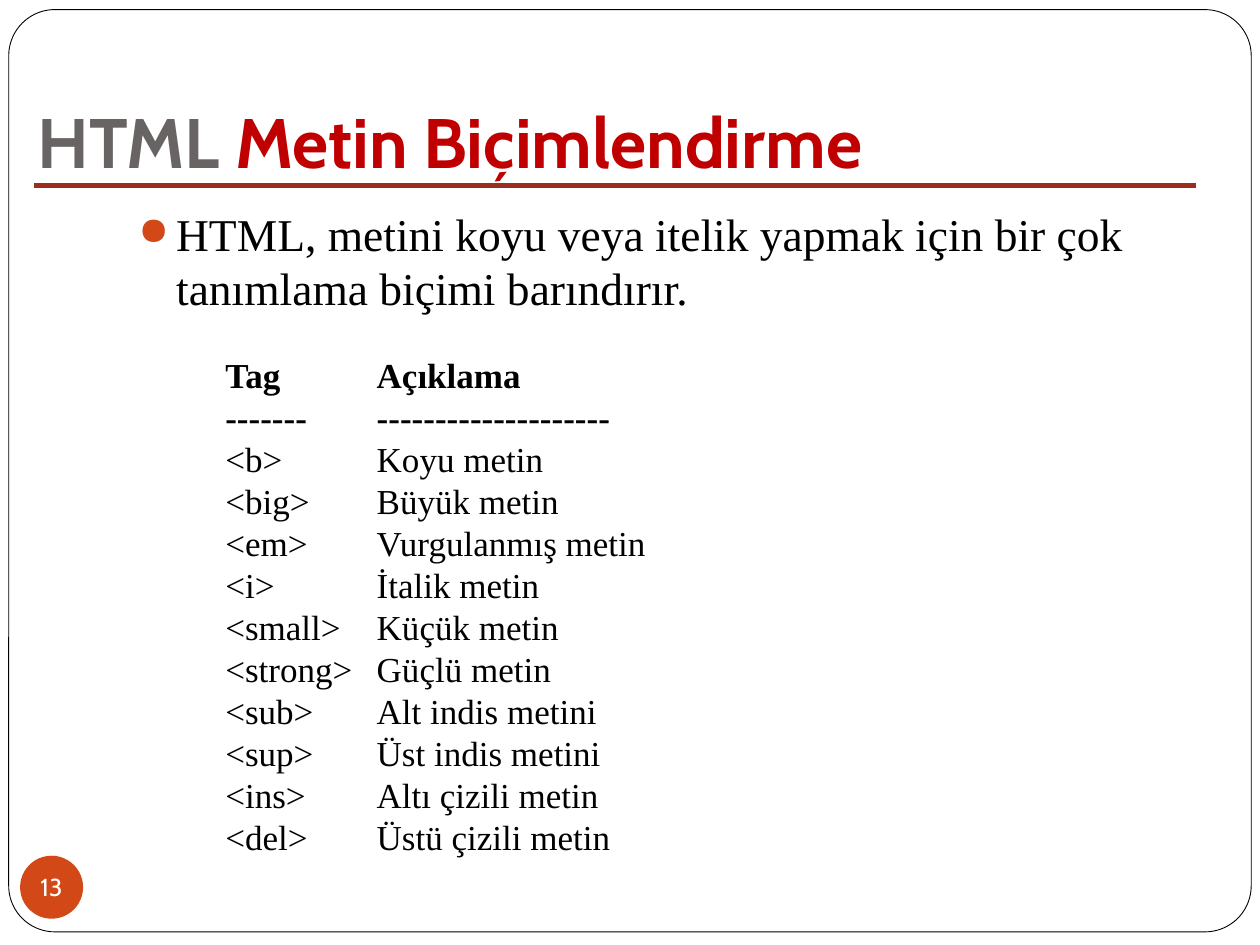
from dataclasses import dataclass

from lxml import etree
from pptx import Presentation
from pptx.dml.color import RGBColor
from pptx.enum.shapes import MSO_CONNECTOR, MSO_SHAPE
from pptx.enum.text import MSO_ANCHOR, PP_ALIGN
from pptx.oxml.ns import qn
from pptx.util import Pt

ROUND, OVAL = MSO_SHAPE.ROUNDED_RECTANGLE, MSO_SHAPE.OVAL
LINE = MSO_CONNECTOR.STRAIGHT
TOP, MIDDLE, BOTTOM = MSO_ANCHOR.TOP, MSO_ANCHOR.MIDDLE, MSO_ANCHOR.BOTTOM
CENTER = PP_ALIGN.CENTER


@dataclass(frozen=True)
class Theme:
    head: str = "Cabin"
    body: str = "Times New Roman"
    white: str = "FFFFFF"
    black: str = "000000"
    gray: str = "696464"
    red: str = "C00000"
    rule: str = "9B2D1F"
    accent: str = "D34817"
    title: int = 40
    lead: int = 26
    list: int = 20
    page: int = 14


THEME = Theme()
TAGS = [
    ("Tag", "Açıklama"),
    ("-------", "--------------------"),
    ("<b>", "Koyu metin"),
    ("<big>", "Büyük metin"),
    ("<em>", "Vurgulanmış metin"),
    ("<i>", "İtalik metin"),
    ("<small>", "Küçük metin"),
    ("<strong>", "Güçlü metin"),
    ("<sub>", "Alt indis metini"),
    ("<sup>", "Üst indis metini"),
    ("<ins>", "Altı çizili metin"),
    ("<del>", "Üstü çizili metin"),
]
HEADS = 2


def rgb(code):
    return RGBColor.from_string(code)


def add_run(para, text, size, font, color, bold=False):
    run = para.add_run()
    run.text = text
    run.font.size, run.font.name, run.font.bold = Pt(size), font, bold
    run.font.color.rgb = rgb(color)


def add_node(parent, tag, **attrs):
    return etree.SubElement(parent, qn(tag), attrs)


def add_text(slide, box, anchor=TOP, foot=3.6):
    frame = slide.shapes.add_textbox(*map(Pt, box)).text_frame
    frame.word_wrap = True
    frame.vertical_anchor = anchor
    frame.margin_bottom = Pt(foot)
    return frame


def add_shape(slide, kind, box, fill):
    shape = slide.shapes.add_shape(kind, *map(Pt, box))
    shape.shadow.inherit = False
    shape.fill.solid()
    shape.fill.fore_color.rgb = rgb(fill)
    return shape


def add_frame(slide, box):
    shape = add_shape(slide, ROUND, box, THEME.white)
    shape.adjustments[0] = 0.05
    shape.line.color.rgb = rgb(THEME.black)
    shape.line.width = Pt(0.5)


def add_title(slide, box):
    """Place the two-colour heading with the rule beneath it."""
    left, top, width, height = box
    para = add_text(slide, box, BOTTOM, foot=7.2).paragraphs[0]
    for text, color in (("HTML ", THEME.gray),
                        ("Metin Biçimlendirme", THEME.red)):
        add_run(para, text, THEME.title, THEME.head, color, True)
    x, y = left + 5, top + height - 5.75
    rule = slide.shapes.add_connector(
        LINE, Pt(x), Pt(y), Pt(x + 664), Pt(y))
    rule.line.color.rgb = rgb(THEME.rule)
    rule.line.width = Pt(3)
    add_node(rule._element.spPr, "a:effectLst")


def add_lead(slide, box):
    para = add_text(slide, box).paragraphs[0]
    props = para._p.get_or_add_pPr()
    props.set("marL", str(Pt(21.6)))
    props.set("indent", str(Pt(-21.6)))
    add_node(add_node(props, "a:buClr"), "a:srgbClr", val=THEME.accent)
    add_node(props, "a:buSzPct", val="85000")
    add_node(props, "a:buChar", char="●")
    add_run(para, "HTML, metini koyu veya itelik yapmak için bir çok "
            "tanımlama biçimi barındırır.",
            THEME.lead, THEME.body, THEME.black)


def add_tags(slide, box):
    """List the tags and their meanings in two tabbed columns."""
    frame = add_text(slide, box, MIDDLE)
    for i, pair in enumerate(TAGS):
        para = frame.add_paragraph() if i else frame.paragraphs[0]
        tabs = add_node(para._p.get_or_add_pPr(), "a:tabLst")
        add_node(tabs, "a:tab", pos=str(Pt(86.5)), algn="l")
        add_run(para, "\t".join(pair), THEME.list, THEME.body,
                THEME.black, i < HEADS)


def add_page(slide, box):
    shape = add_shape(slide, OVAL, box, THEME.accent)
    shape.line.fill.background()
    frame = shape.text_frame
    frame.margin_left = frame.margin_right = 0
    frame.margin_top = frame.margin_bottom = 0
    frame.word_wrap = False
    frame.vertical_anchor = MIDDLE
    para = frame.paragraphs[0]
    para.alignment = CENTER
    add_run(para, "13", THEME.page, THEME.head, THEME.white)


def main():
    deck = Presentation()
    deck.slide_width, deck.slide_height = Pt(720), Pt(540)
    slide = deck.slides.add_slide(deck.slide_layouts[6])
    add_frame(slide, (5, 5.5, 710, 527))
    add_lead(slide, (72, 114, 612, 156))
    add_title(slide, (14.4, 21.6, 612, 90))
    add_tags(slide, (121.7, 198.7, 501, 295))
    add_page(slide, (11.5, 489, 36, 36))
    deck.save("out.pptx")


if __name__ == "__main__":
    main()
